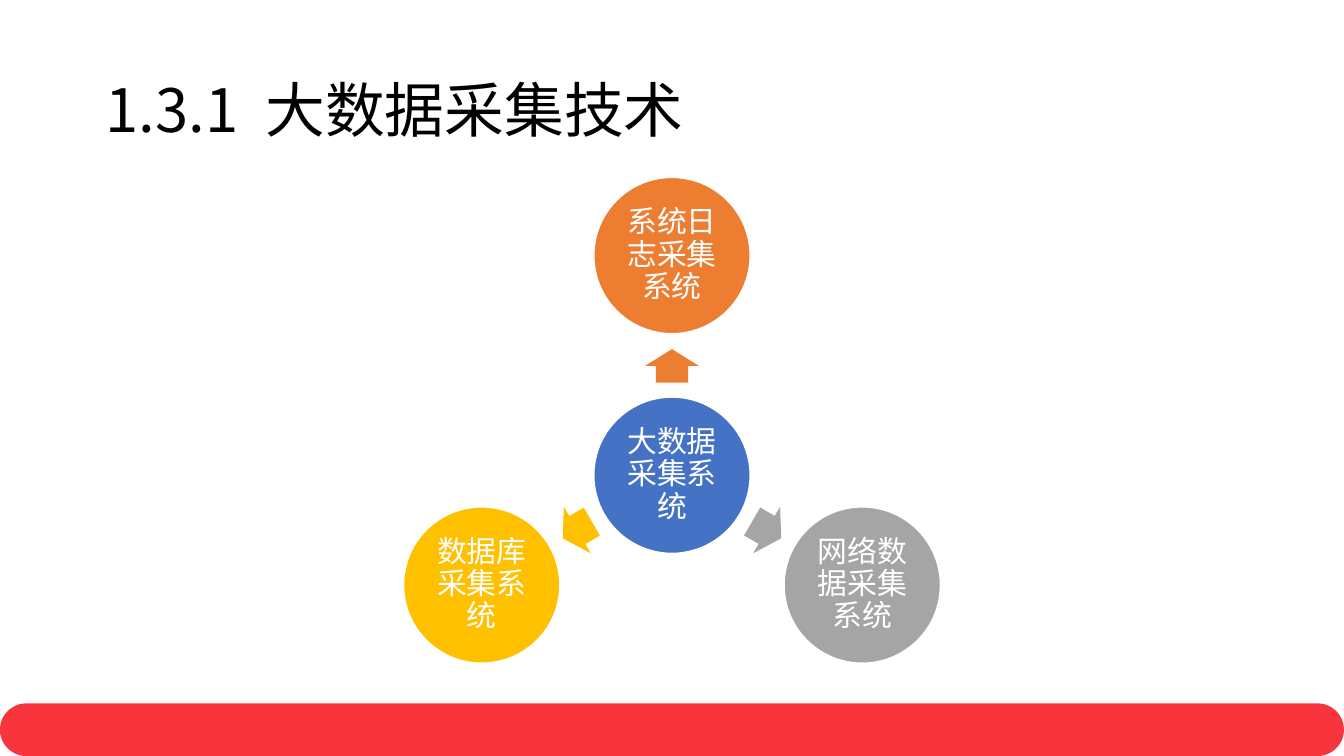
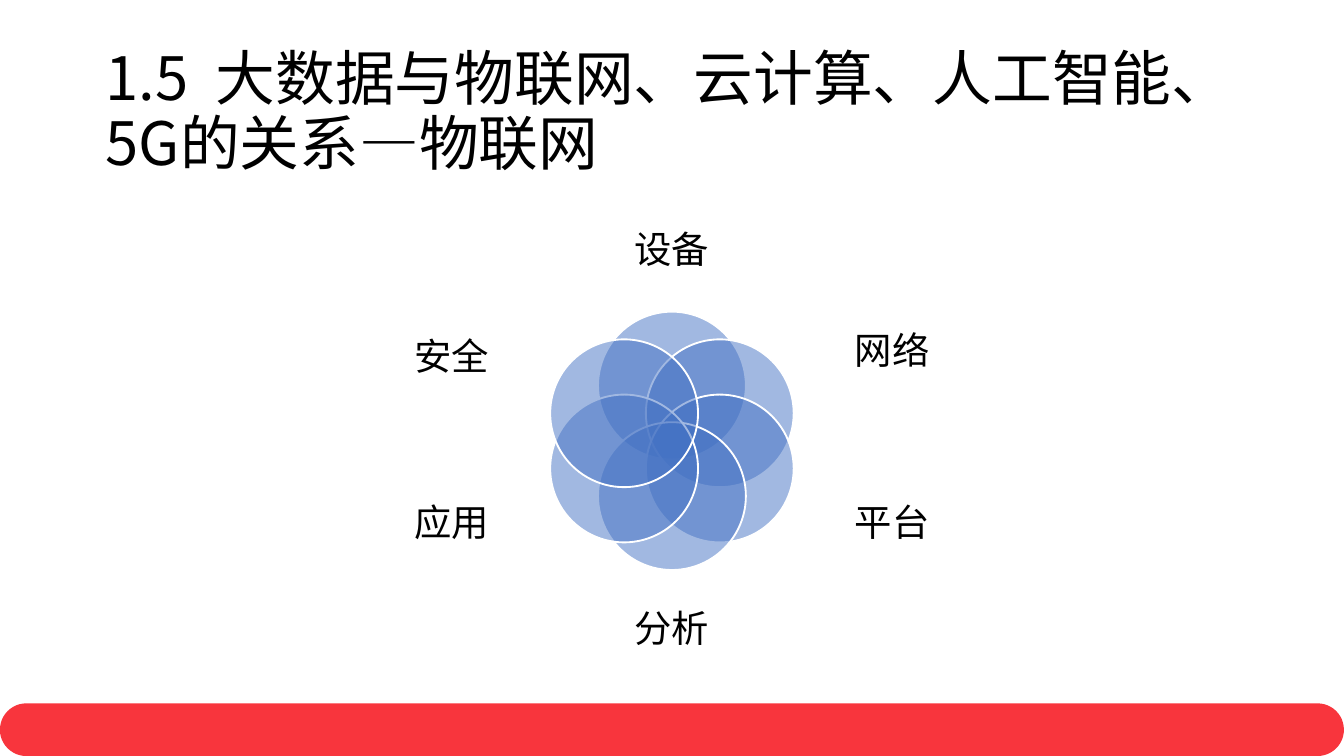
from math import cos, radians, sin

from lxml import etree
from pptx import Presentation
from pptx.dml.color import RGBColor
from pptx.enum.shapes import MSO_SHAPE
from pptx.enum.text import MSO_ANCHOR, MSO_AUTO_SIZE, PP_ALIGN
from pptx.oxml.ns import qn
from pptx.util import Pt

OVAL, ARROW, BAND = MSO_SHAPE.OVAL, MSO_SHAPE.RIGHT_ARROW, MSO_SHAPE.ROUNDED_RECTANGLE
LEFT, CENTER, MIDDLE = PP_ALIGN.LEFT, PP_ALIGN.CENTER, MSO_ANCHOR.MIDDLE
NO_FIT = MSO_AUTO_SIZE.NONE

FONT = "Noto Sans CJK SC"
BLACK, WHITE, RED, BLUE = "000000", "FFFFFF", "F8353D", "4472C4"
WIDTH, HEIGHT, BAND_HEIGHT = 720, 405, 28.2
TITLE_AREA = (49.5, 21.6, 621, 78.3)

COLLECTION_TITLE = "1.3.1  大数据采集技术"
HUB = "大数据采集系统"
SPOKES = [  # text, colour, angle in degrees clockwise from the right
    ("系统日志采集系统", "ED7D31", -90),
    ("网络数据采集系统", "A5A5A5", 30),
    ("数据库采集系统", "FFC000", 150),
]
HUB_CENTER = (360, 254.6)
DISC, SPOKE_REACH, ARROW_REACH = 84, 117.7, 58.6
ARROW_SIZE = (18, 28.8)

RELATION_TITLE = "1.5  大数据与物联网、云计算、人工智能、5G的关系—物联网"
PETALS = [  # label, offset of the label from the centre, label size
    ("设备", (0, -101.5), (99.4, 54)),
    ("网络", (118, -47.5), (93.6, 59)),
    ("平台", (118, 44.6), (93.6, 66)),
    ("分析", (0, 101.5), (99.4, 54)),
    ("应用", (-118, 44.6), (93.6, 66)),
    ("安全", (-118, -44), (93.6, 66)),
]
FLOWER_CENTER = (360, 236.2)
PETAL, PETAL_REACH = 79.2, 29.6


def color(code):
    return RGBColor.from_string(code)


def set_values(target, values):
    for name, value in values.items():
        setattr(target, name, value)


def polar(center, reach, angle):
    turn = radians(angle)
    return center[0] + reach * cos(turn), center[1] + reach * sin(turn)


def centered(center, size):
    """Return left, top, width and height as lengths."""
    (x, y), (width, height) = center, size
    return [Pt(v) for v in (x - width / 2, y - height / 2, width, height)]


def write(holder, text, size, ink, align=CENTER, inset=None, after=0):
    frame = holder.text_frame
    set_values(frame, {"word_wrap": True, "auto_size": NO_FIT, "vertical_anchor": MIDDLE})
    if inset is not None:
        sides = ("margin_left", "margin_top", "margin_right", "margin_bottom")
        set_values(frame, dict.fromkeys(sides, Pt(inset)))
    para = frame.paragraphs[0]
    set_values(para, {"alignment": align, "line_spacing": 0.9,
                      "space_before": Pt(0), "space_after": Pt(after)})
    span = para.add_run()
    span.text = text
    set_values(span.font, {"size": Pt(size), "name": FONT, "bold": False})
    span.font.color.rgb = color(ink)
    east_asian = etree.SubElement(span._r.get_or_add_rPr(), qn("a:ea"))
    east_asian.set("typeface", FONT)


def add_filled(page, kind, center, size, fill, outlined=False, opacity=None):
    shape = page.shapes.add_shape(kind, *centered(center, size))
    shape.shadow.inherit = False
    shape.fill.solid()
    shape.fill.fore_color.rgb = color(fill)
    if opacity is not None:
        tint = shape.element.spPr.find(qn("a:solidFill"))[0]
        etree.SubElement(tint, qn("a:alpha")).set("val", str(opacity * 1000))
    if outlined:
        shape.line.color.rgb = color(WHITE)
        shape.line.width = Pt(1)
    else:
        shape.line.fill.background()
    return shape


def add_disc(page, center, text, fill):
    disc = add_filled(page, OVAL, center, (DISC, DISC), fill, outlined=True)
    write(disc, text, 16, WHITE, inset=1.2, after=5.6)


def add_page(deck, title):
    page = deck.slides.add_slide(deck.slide_layouts[5])
    holder = page.shapes.title
    set_values(holder, dict(zip(("left", "top", "width", "height"), map(Pt, TITLE_AREA))))
    write(holder, title, 32, BLACK, align=LEFT)
    return page


def move_band_to_layout(page):
    """Draw the bottom band once and let every page inherit it."""
    middle = (WIDTH / 2, HEIGHT - BAND_HEIGHT / 2)
    band = add_filled(page, BAND, middle, (WIDTH, BAND_HEIGHT), RED)
    band.adjustments[0] = 0.5
    page.slide_layout.shapes.element.append(band.element)


def draw_collection(page):
    add_disc(page, HUB_CENTER, HUB, BLUE)
    for text, fill, angle in SPOKES:
        arrow = add_filled(page, ARROW, polar(HUB_CENTER, ARROW_REACH, angle), ARROW_SIZE, fill)
        arrow.rotation = angle % 360
        arrow.adjustments[0], arrow.adjustments[1] = 0.6, 0.5
        add_disc(page, polar(HUB_CENTER, SPOKE_REACH, angle), text, fill)


def draw_relation(page):
    for index, (text, (dx, dy), size) in enumerate(PETALS):
        angle = index * 360 / len(PETALS) - 90
        add_filled(page, OVAL, polar(FLOWER_CENTER, PETAL_REACH, angle), (PETAL, PETAL),
                   BLUE, outlined=True, opacity=50)
        center = (FLOWER_CENTER[0] + dx, FLOWER_CENTER[1] + dy)
        label = page.shapes.add_textbox(*centered(center, size))
        write(label, text, 20, BLACK, inset=0, after=7)


def main():
    deck = Presentation()
    set_values(deck, {"slide_width": Pt(WIDTH), "slide_height": Pt(HEIGHT)})
    collection = add_page(deck, COLLECTION_TITLE)
    move_band_to_layout(collection)
    draw_collection(collection)
    draw_relation(add_page(deck, RELATION_TITLE))
    deck.save("out.pptx")


if __name__ == "__main__":
    main()
